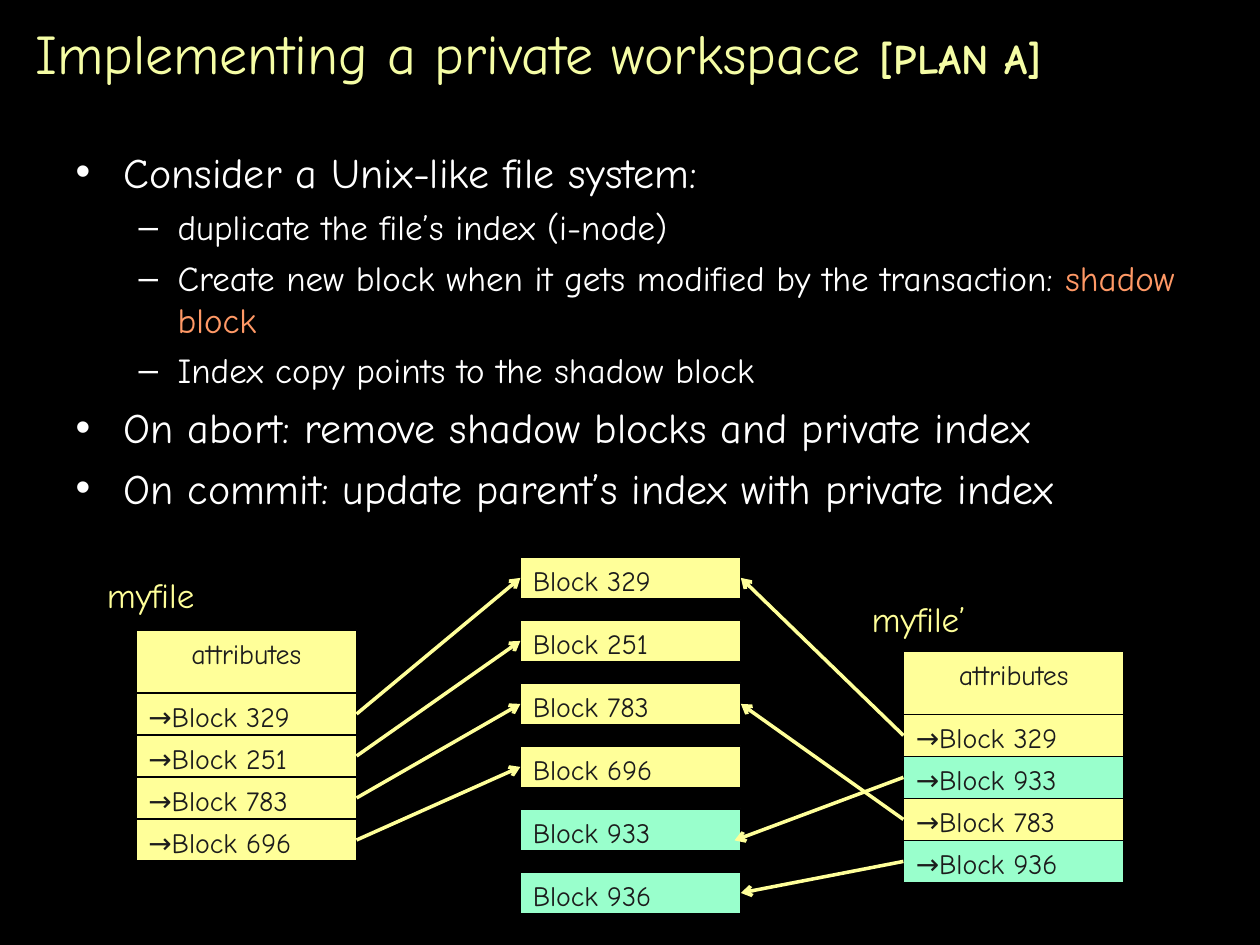
import pptx
import pptx.util
import pptx.dml.color
import pptx.enum.shapes
import pptx.enum.text
import pptx.oxml.ns
import lxml.etree
from pptx.util import Inches

FONT = "Comic Neue"
YELLOW, GREEN, INK = "FFFF99", "99FFCC", "1C1C1C"
TITLE_COLOR, WHITE, ORANGE = "F5FDA5", "FFFFFF", "FF9966"
CELL_WIDTH = 1.75
ROW_HEIGHT = 1 / 3
LEFT_SITE, RIGHT_SITE = 1, 3
ALIGN = pptx.enum.text.PP_ALIGN


def rgb(hex_string):
    return pptx.dml.color.RGBColor.from_string(hex_string)


def sub(parent, tag, **attributes):
    return lxml.etree.SubElement(parent, pptx.oxml.ns.qn(tag), **attributes)


def write(paragraph, text, size=16, color=INK, bold=False, align=ALIGN.LEFT):
    """Append a formatted run to a paragraph."""
    paragraph.alignment = align
    run = paragraph.add_run()
    run.text = text
    run.font.name = FONT
    run.font.size = pptx.util.Pt(size)
    run.font.bold = bold
    run.font.color.rgb = rgb(color)


def place(shape, left, top, width, height):
    shape.left, shape.top = Inches(left), Inches(top)
    shape.width, shape.height = Inches(width), Inches(height)


def fill_title(title, left, top, width, height):
    place(title, left, top, width, height)
    title.text_frame.auto_size = pptx.enum.text.MSO_AUTO_SIZE.NONE
    title.text_frame.vertical_anchor = pptx.enum.text.MSO_ANCHOR.MIDDLE
    heading = title.text_frame.paragraphs[0]
    write(heading, "Implementing a private workspace ", size=32, color=TITLE_COLOR)
    write(heading, "[PLAN A]", size=24, color=TITLE_COLOR, bold=True)


def set_bullet(paragraph, character, margin, hanging):
    properties = paragraph._p.get_or_add_pPr()
    properties.set("marL", str(Inches(margin)))
    properties.set("indent", str(-Inches(hanging)))
    sub(sub(properties, "a:buClr"), "a:srgbClr", val=WHITE)
    sub(properties, "a:buFont", typeface="Arial")
    sub(properties, "a:buChar", char=character)


def fill_body(body, points, left, top, width, height):
    place(body, left, top, width, height)
    frame = body.text_frame
    frame.auto_size = pptx.enum.text.MSO_AUTO_SIZE.NONE
    # character, margin, hanging indent, text size, space before
    levels = [("•", 0.38, 0.38, 24, 6), ("–", 0.81, 0.31, 20, 5)]
    for number, (level, runs) in enumerate(points):
        point = frame.add_paragraph() if number else frame.paragraphs[0]
        character, margin, hanging, size, space = levels[level]
        point.level = level
        set_bullet(point, character, margin, hanging)
        point.space_before = pptx.util.Pt(space if number else 0)
        for text, color in runs:
            write(point, text, size=size, color=color)


def add_cell(slide, text, left, top, height=ROW_HEIGHT, fill=YELLOW, align=ALIGN.LEFT):
    cell = slide.shapes.add_shape(
        pptx.enum.shapes.MSO_SHAPE.RECTANGLE,
        Inches(left), Inches(top), Inches(CELL_WIDTH), Inches(height))
    cell.shadow.inherit = False
    cell.fill.solid()
    cell.fill.fore_color.rgb = rgb(fill)
    cell.line.color.rgb = rgb("000000")
    cell.line.width = pptx.util.Pt(0.75)
    cell.text_frame.vertical_anchor = pptx.enum.text.MSO_ANCHOR.TOP
    write(cell.text_frame.paragraphs[0], text, align=align)
    return cell


def block_fill(number):
    """Shadow blocks are green, the parent's blocks yellow."""
    return GREEN if number in (933, 936) else YELLOW


def add_blocks(slide, numbers, left, top, pitch=0.5):
    return {number: add_cell(slide, f"Block {number}", left, top + row * pitch,
                             fill=block_fill(number))
            for row, number in enumerate(numbers)}


def add_index(slide, name, numbers, left, top, label_left, label_top):
    """Draw a file's index and return its rows by block number."""
    label = slide.shapes.add_textbox(
        Inches(label_left), Inches(label_top), Inches(1.83), Inches(0.44))
    label.text_frame.word_wrap = True
    label.text_frame.auto_size = pptx.enum.text.MSO_AUTO_SIZE.SHAPE_TO_FIT_TEXT
    write(label.text_frame.paragraphs[0], name, size=20, color=YELLOW)

    header_height = 0.5
    add_cell(slide, "attributes", left, top, header_height, align=ALIGN.CENTER)
    return {number: add_cell(slide, f"→Block {number}", left,
                             top + header_height + row * ROW_HEIGHT,
                             fill=block_fill(number))
            for row, number in enumerate(numbers)}


def add_pointers(slide, rows, blocks, row_site, block_site):
    """Draw an arrow from each index row to its block."""
    pointers = {}
    for number, row in rows.items():
        pointer = slide.shapes.add_connector(
            pptx.enum.shapes.MSO_CONNECTOR.STRAIGHT, 0, 0, 0, 0)
        pointer.begin_connect(row, row_site)
        pointer.end_connect(blocks[number], block_site)
        pointer.line.color.rgb = rgb(YELLOW)
        pointer.line.width = pptx.util.Pt(2)
        sub(pointer.line._get_or_add_ln(), "a:tailEnd", type="arrow")
        sub(pointer._element.spPr, "a:effectLst")
        pointers[number] = pointer
    return pointers


def main():
    deck = pptx.Presentation()
    deck.slide_width, deck.slide_height = Inches(10), Inches(7.5)
    slide = deck.slides.add_slide(deck.slide_layouts[1])
    slide.background.fill.solid()
    slide.background.fill.fore_color.rgb = rgb("000000")

    # Title and list
    fill_title(slide.shapes.title, 0.18, 0.08, 9.67, 0.67)
    points = [
        (0, [("Consider a Unix-like file system:", WHITE)]),
        (1, [("duplicate the file’s index (i-node)", WHITE)]),
        (1, [("Create new block when it gets modified by the transaction: ", WHITE),
             ("shadow block", ORANGE)]),
        (1, [("Index copy points to the shadow block", WHITE)]),
        (0, [("On abort: remove shadow blocks and private index", WHITE)]),
        (0, [("On commit: update parent’s index with private index", WHITE)]),
    ]
    fill_body(slide.placeholders[1], points, 0.5, 1.11, 9, 3.26)

    # Indexes and the blocks they share
    parent_rows = add_index(slide, "myfile", [329, 251, 783, 696], 1.08, 5, 0.75, 4.5)
    blocks = add_blocks(slide, [329, 251, 783, 696, 933, 936], 4.13, 4.42)
    private_rows = add_index(slide, "myfile’", [329, 933, 783, 936], 7.17, 5.17, 6.82, 4.69)

    # Pointers
    add_pointers(slide, parent_rows, blocks, RIGHT_SITE, LEFT_SITE)
    private_pointers = add_pointers(slide, private_rows, blocks, LEFT_SITE, RIGHT_SITE)
    # This arrow ends just inside its block
    private_pointers[933].end_x = Inches(5.83)
    private_pointers[933].end_y = Inches(6.67)

    deck.save("out.pptx")


if __name__ == "__main__":
    main()
